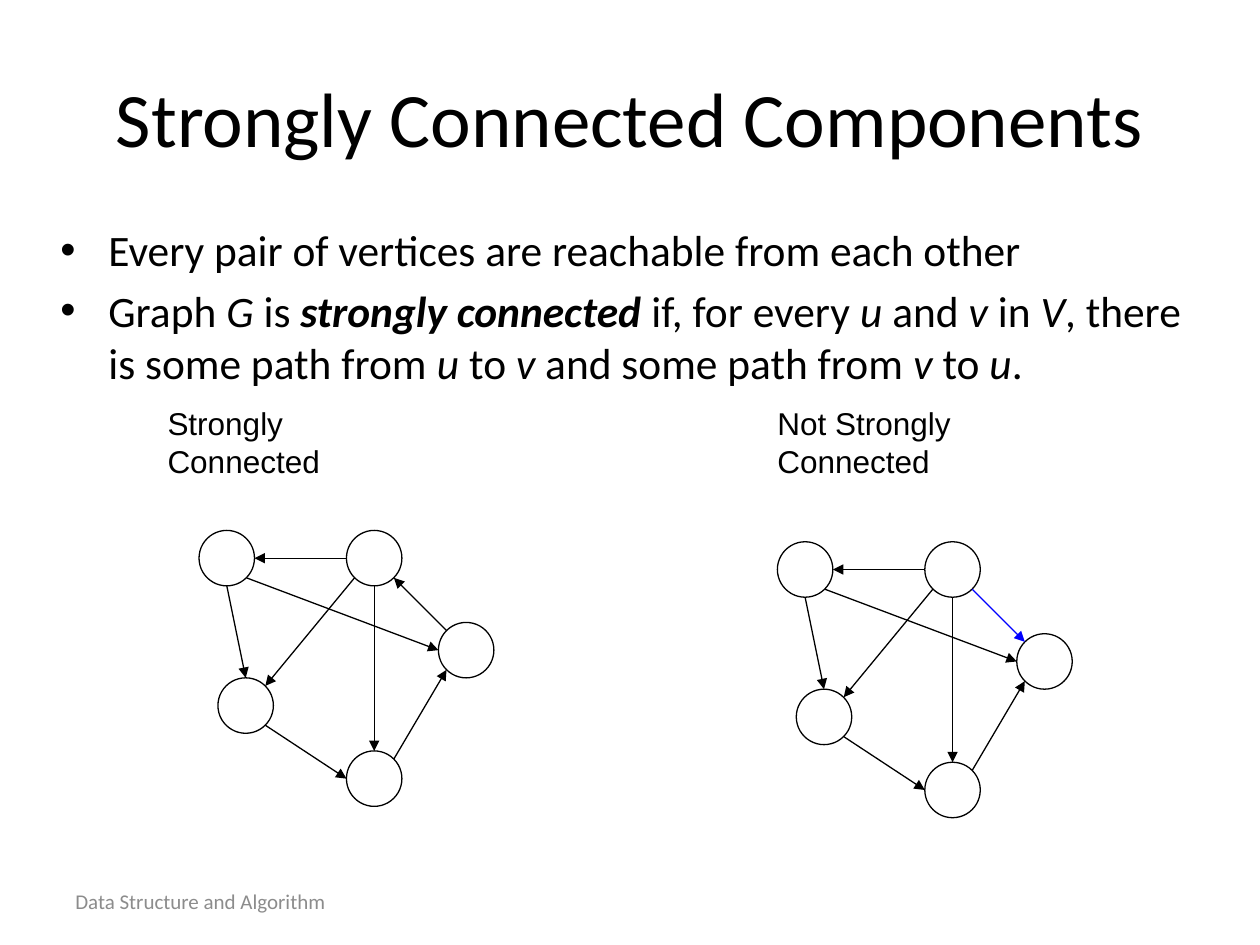
import lxml.etree
import pptx
import pptx.util
import pptx.dml.color
import pptx.enum.shapes
import pptx.enum.text
import pptx.oxml.ns

Inches = pptx.util.Inches
Pt = pptx.util.Pt
qn = pptx.oxml.ns.qn
BLACK = pptx.dml.color.RGBColor(0x00, 0x00, 0x00)
WHITE = pptx.dml.color.RGBColor(0xFF, 0xFF, 0xFF)
GRAY = pptx.dml.color.RGBColor(0x8C, 0x8C, 0x8C)
BLUE = pptx.dml.color.RGBColor(0x00, 0x00, 0xFF)


def add_span(para, text, color, **font_values):
    span = para.add_run()
    span.text = text
    for name, value in font_values.items():
        setattr(span.font, name, value)
    span.font.color.rgb = color


def place(box, left, top, width, height):
    values = {"left": left, "top": top, "width": width, "height": height}
    for name, value in values.items():
        setattr(box, name, Inches(value))


deck = pptx.Presentation()
deck.slide_width = Inches(10)
deck.slide_height = Inches(7.5)
page = deck.slides.add_slide(deck.slide_layouts[1])

title = page.shapes.title
place(title, 0.5, 0.3, 9, 1.25)
title.text_frame.vertical_anchor = pptx.enum.text.MSO_ANCHOR.MIDDLE
title_para = title.text_frame.paragraphs[0]
title_para.alignment = pptx.enum.text.PP_ALIGN.CENTER
add_span(title_para, "Strongly Connected Components", BLACK, name="Calibri", size=Pt(44))

PLAIN = {}
ITALIC = {"italic": True}
STRONG = {"bold": True, "italic": True}
bullets = [
    [("Every pair of vertices are reachable from each other", PLAIN)],
    [
        ("Graph ", PLAIN), ("G", ITALIC), (" is ", PLAIN),
        ("strongly connected", STRONG), (" if, for every ", PLAIN),
        ("u", ITALIC), (" and ", PLAIN), ("v", ITALIC), (" in ", PLAIN),
        ("V", ITALIC), (", there is some path from ", PLAIN),
        ("u", ITALIC), (" to ", PLAIN), ("v", ITALIC),
        (" and some path from ", PLAIN),
        ("v", ITALIC), (" to ", PLAIN), ("u", ITALIC), (".", PLAIN),
    ],
]
body = page.placeholders[1]
place(body, 0.38, 1.72, 9.12, 1.31)
body.text_frame.auto_size = pptx.enum.text.MSO_AUTO_SIZE.NONE
for index, spans in enumerate(bullets):
    para = body.text_frame.paragraphs[0] if index == 0 else body.text_frame.add_paragraph()
    para.space_before = Pt(5)
    properties = para._p.get_or_add_pPr()
    properties.set("marL", str(Inches(0.38)))
    properties.set("indent", str(-Inches(0.38)))
    lxml.etree.SubElement(properties, qn("a:buChar")).set("char", "•")
    for text, style in spans:
        add_span(para, text, BLACK, name="Calibri", size=Pt(24.8), **style)

footer = page.shapes.add_textbox(Inches(0.5), Inches(6.95), Inches(2.33), Inches(0.4))
footer.text_frame.word_wrap = True
footer.text_frame.vertical_anchor = pptx.enum.text.MSO_ANCHOR.MIDDLE
add_span(footer.text_frame.paragraphs[0], "Data Structure and Algorithm", GRAY,
         name="Calibri", size=Pt(12))

DIAMETER = 0.44
RADIUS = DIAMETER / 2
DIAGONAL = RADIUS * 0.71
RIM = {
    "N": (0, -RADIUS), "S": (0, RADIUS), "W": (-RADIUS, 0), "E": (RADIUS, 0),
    "NW": (-DIAGONAL, -DIAGONAL), "NE": (DIAGONAL, -DIAGONAL),
    "SW": (-DIAGONAL, DIAGONAL), "SE": (DIAGONAL, DIAGONAL),
}
VERTICES = {"a": (0, 0), "b": (1.17, 0), "c": (0.15, 1.17), "d": (1.17, 1.75), "e": (1.9, 0.73)}
SHARED_EDGES = [
    ("a", "S", "c", "N", BLACK),
    ("c", "SE", "d", "W", BLACK),
    ("d", "NE", "e", "SW", BLACK),
    ("b", "W", "a", "E", BLACK),
    ("b", "SW", "c", "NE", BLACK),
    ("b", "S", "d", "N", BLACK),
    ("a", "SE", "e", "W", BLACK),
]
graphs = [
    ("Strongly Connected", 1.33, 1.58, 4.21, ("e", "NW", "b", "SE", BLACK)),
    ("Not Strongly Connected", 6.17, 6.17, 4.3, ("b", "SE", "e", "NW", BLUE)),
]

for caption, caption_left, left, top, deciding_edge in graphs:
    graph = page.shapes.add_group_shape()
    for x, y in VERTICES.values():
        vertex = graph.shapes.add_shape(
            pptx.enum.shapes.MSO_SHAPE.OVAL,
            Inches(left + x), Inches(top + y), Inches(DIAMETER), Inches(DIAMETER))
        vertex.shadow.inherit = False
        vertex.fill.solid()
        vertex.fill.fore_color.rgb = WHITE
        vertex.line.color.rgb = BLACK
        vertex.line.width = Pt(0.75)

    for start, start_side, end, end_side, color in SHARED_EDGES + [deciding_edge]:
        points = []
        for name, side in ((start, start_side), (end, end_side)):
            points.append(Inches(left + VERTICES[name][0] + RADIUS + RIM[side][0]))
            points.append(Inches(top + VERTICES[name][1] + RADIUS + RIM[side][1]))
        edge = graph.shapes.add_connector(pptx.enum.shapes.MSO_CONNECTOR.STRAIGHT, *points)
        edge.line.color.rgb = color
        edge.line.width = Pt(0.75)
        arrowhead = lxml.etree.SubElement(edge.line._get_or_add_ln(), qn("a:tailEnd"))
        for name, value in {"type": "triangle", "w": "med", "len": "med"}.items():
            arrowhead.set(name, value)
        lxml.etree.SubElement(edge._element.spPr, qn("a:effectLst"))

    label = page.shapes.add_textbox(Inches(caption_left), Inches(3.21), Inches(1.5), Inches(0.6))
    frame = label.text_frame
    frame.word_wrap = True
    for side in ("left", "top", "right", "bottom"):
        setattr(frame, f"margin_{side}", 0)
    add_span(frame.paragraphs[0], caption, BLACK, name="Arial", size=Pt(18))

deck.save("out.pptx")
